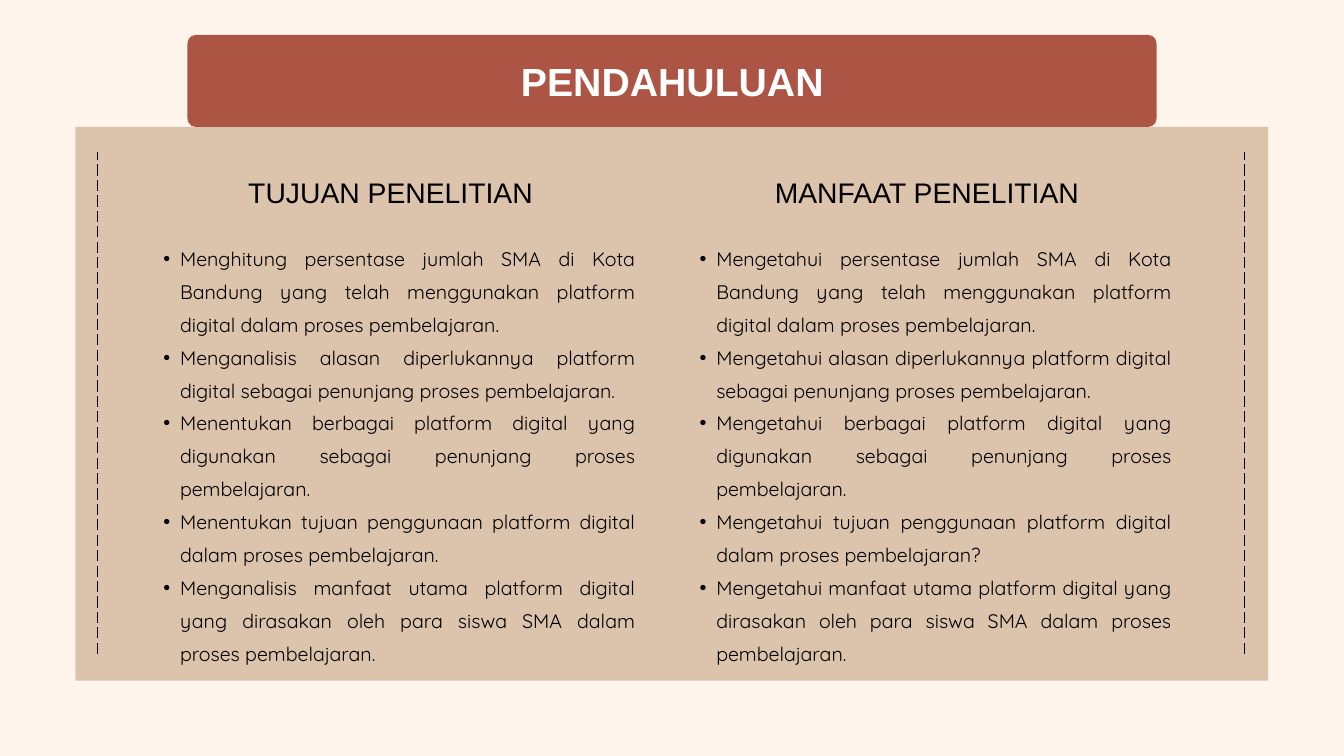
from dataclasses import dataclass
from lxml import etree
from pptx import Presentation
from pptx.dml.color import RGBColor
from pptx.enum.dml import MSO_LINE
from pptx.enum.shapes import MSO_CONNECTOR, MSO_SHAPE
from pptx.enum.text import PP_ALIGN
from pptx.oxml.ns import qn
from pptx.slide import Slide
from pptx.util import Inches, Pt

CREAM = RGBColor(0xFF, 0xF5, 0xEC)
SAND = RGBColor(0xDC, 0xC3, 0xAC)
BRICK = RGBColor(0xAD, 0x55, 0x45)
BLACK = RGBColor(0, 0, 0)
WHITE = RGBColor(0xFF, 0xFF, 0xFF)


@dataclass
class Painter:
    page: Slide
    heading_font: str = "Arial"
    body_font: str = "Quicksand"

    def panel(self, kind, left, top, width, height, color):
        shape = self.page.shapes.add_shape(
            kind, Inches(left), Inches(top), Inches(width), Inches(height))
        shape.shadow.inherit = False
        shape.fill.solid()
        shape.fill.fore_color.rgb = color
        shape.line.fill.background()
        return shape

    def dashed_line(self, x, top, bottom):
        line = self.page.shapes.add_connector(
            MSO_CONNECTOR.STRAIGHT, Inches(x), Inches(bottom), Inches(x), Inches(top))
        line.line.color.rgb = BLACK
        line.line.width = Pt(1.5)
        line.line.dash_style = MSO_LINE.LONG_DASH
        etree.SubElement(line._element.spPr, qn("a:effectLst"))

    def text_frame(self, left, top, width, height):
        box = self.page.shapes.add_textbox(
            Inches(left), Inches(top), Inches(width), Inches(height))
        frame = box.text_frame
        frame.word_wrap = True
        frame.margin_left = frame.margin_right = 0
        frame.margin_top = frame.margin_bottom = 0
        return frame

    def set_text(self, para, text, font, size, color, align, spacing):
        para.text = text
        para.alignment = align
        para.line_spacing = spacing
        para.font.name = font
        para.font.size = Pt(size)
        para.font.color.rgb = color

    def title(self, text, left, top, width, height):
        para = self.text_frame(left, top, width, height).paragraphs[0]
        self.set_text(para, text, self.heading_font, 42, WHITE, PP_ALIGN.CENTER, 1.08)
        para.font.bold = True

    def bullet(self, para):
        properties = para._p.get_or_add_pPr()
        properties.set("marL", str(Inches(0.5)))
        properties.set("indent", str(Inches(-0.25)))
        mark = etree.Element(qn("a:buChar"), char="•")
        font = etree.Element(qn("a:buFont"), typeface="Arial")
        properties.find(qn("a:defRPr")).addprevious(font)
        font.addnext(mark)

    def column(self, heading, items, left, top, width, height):
        frame = self.text_frame(left, top, width, height)
        para = frame.paragraphs[0]
        self.set_text(para, heading, self.heading_font, 30.3, BLACK, PP_ALIGN.CENTER, 1.4)
        para.space_after = Pt(30)
        for item in items:
            para = frame.add_paragraph()
            self.set_text(para, item, self.body_font, 21, BLACK, PP_ALIGN.JUSTIFY, 1.4)
            self.bullet(para)


COLUMNS = [
    (2.18, "TUJUAN PENELITIAN", [
        "Menghitung persentase jumlah SMA di Kota Bandung yang telah menggunakan "
        "platform digital dalam proses pembelajaran.",
        "Menganalisis alasan diperlukannya platform digital sebagai penunjang "
        "proses pembelajaran.",
        "Menentukan berbagai platform digital yang digunakan sebagai penunjang "
        "proses pembelajaran.",
        "Menentukan tujuan penggunaan platform digital dalam proses pembelajaran.",
        "Menganalisis manfaat utama platform digital yang dirasakan oleh para "
        "siswa SMA dalam proses pembelajaran.",
    ]),
    (10.16, "MANFAAT PENELITIAN", [
        "Mengetahui persentase jumlah SMA di Kota Bandung yang telah menggunakan "
        "platform digital dalam proses pembelajaran.",
        "Mengetahui alasan diperlukannya platform digital sebagai penunjang "
        "proses pembelajaran.",
        "Mengetahui berbagai platform digital yang digunakan sebagai penunjang "
        "proses pembelajaran.",
        "Mengetahui tujuan penggunaan platform digital dalam proses pembelajaran?",
        "Mengetahui manfaat utama platform digital yang dirasakan oleh para "
        "siswa SMA dalam proses pembelajaran.",
    ]),
]

deck = Presentation()
deck.slide_width, deck.slide_height = Inches(20), Inches(11.25)
page = deck.slides.add_slide(deck.slide_layouts[6])
page.background.fill.solid()
page.background.fill.fore_color.rgb = CREAM

painter = Painter(page)
painter.panel(MSO_SHAPE.RECTANGLE, 1.12, 1.89, 17.75, 8.24, SAND)
banner = painter.panel(MSO_SHAPE.ROUNDED_RECTANGLE, 2.79, 0.52, 14.42, 1.37, BRICK)
banner.adjustments[0] = 0.09
for x in (1.45, 18.52):
    painter.dashed_line(x, 2.26, 9.73)
painter.title("PENDAHULUAN", 5.13, 0.79, 9.75, 1.53)
for left, heading, items in COLUMNS:
    painter.column(heading, items, left, 2.41, 7.27, 7.86)

deck.save("out.pptx")
